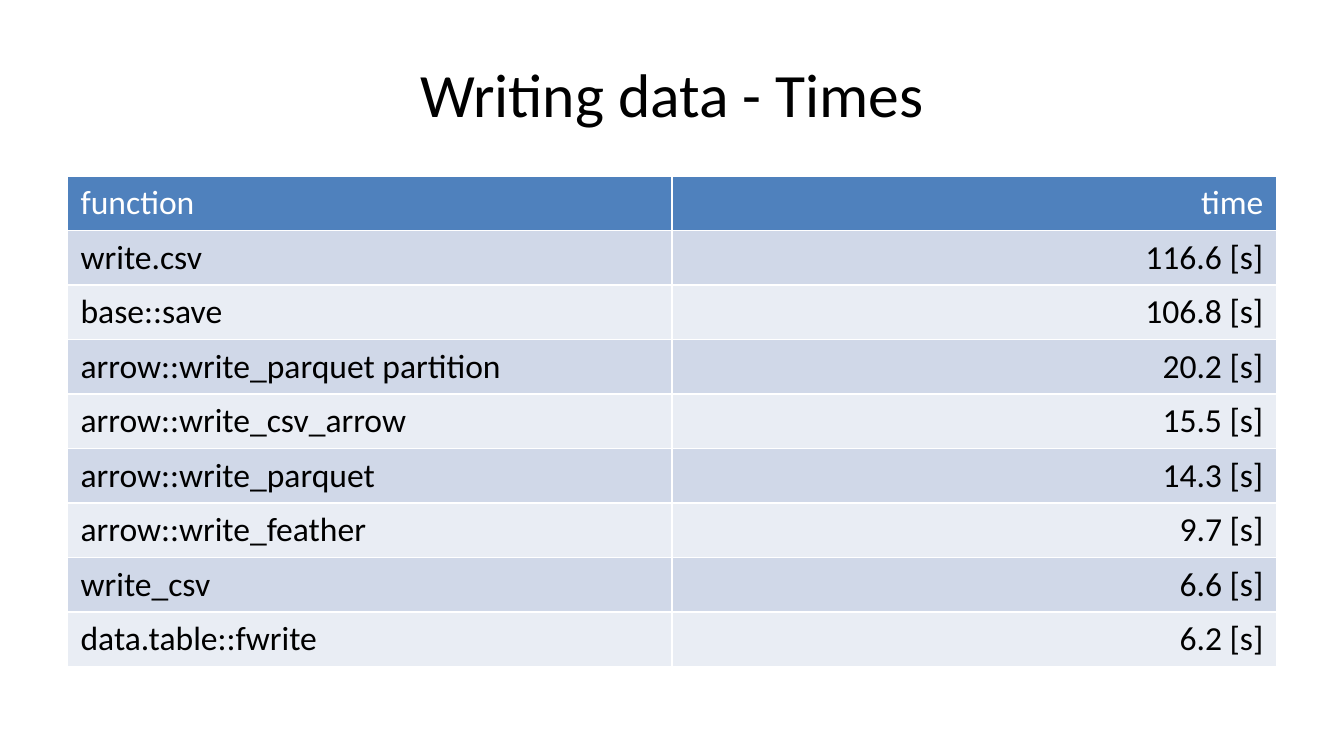
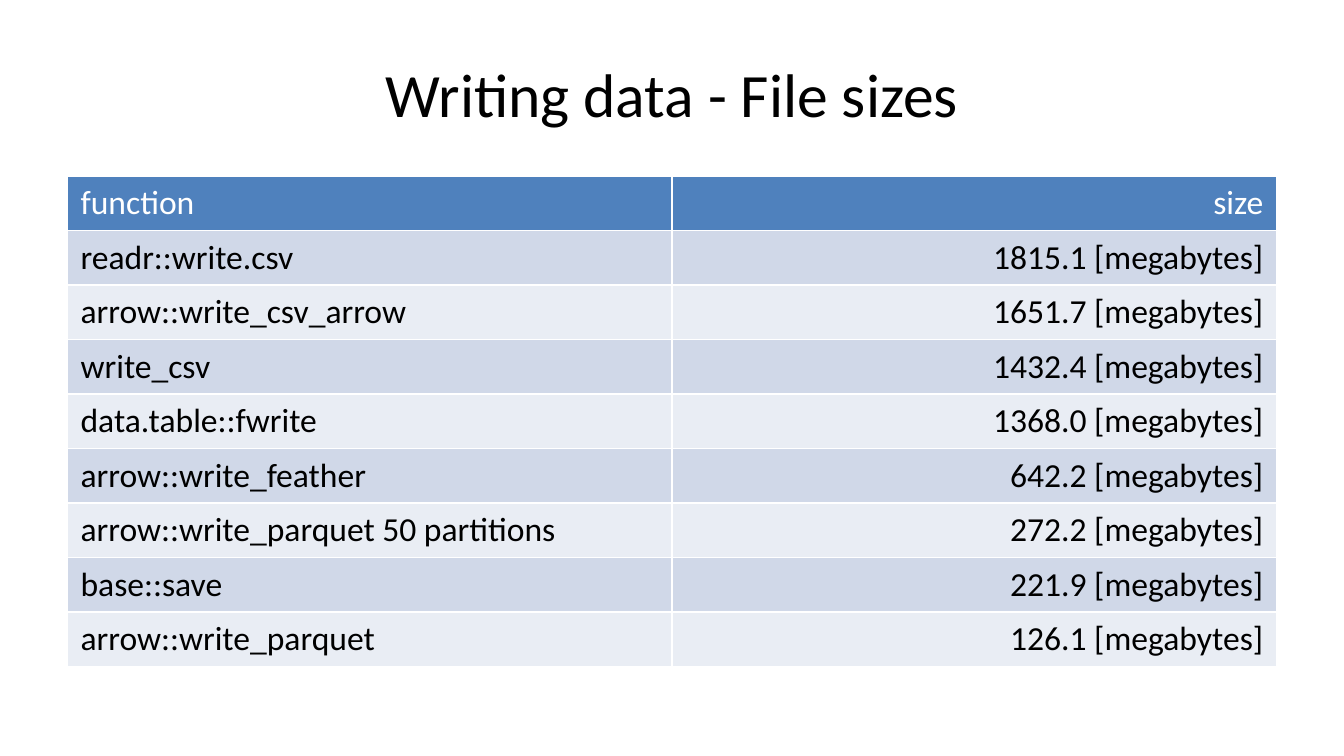
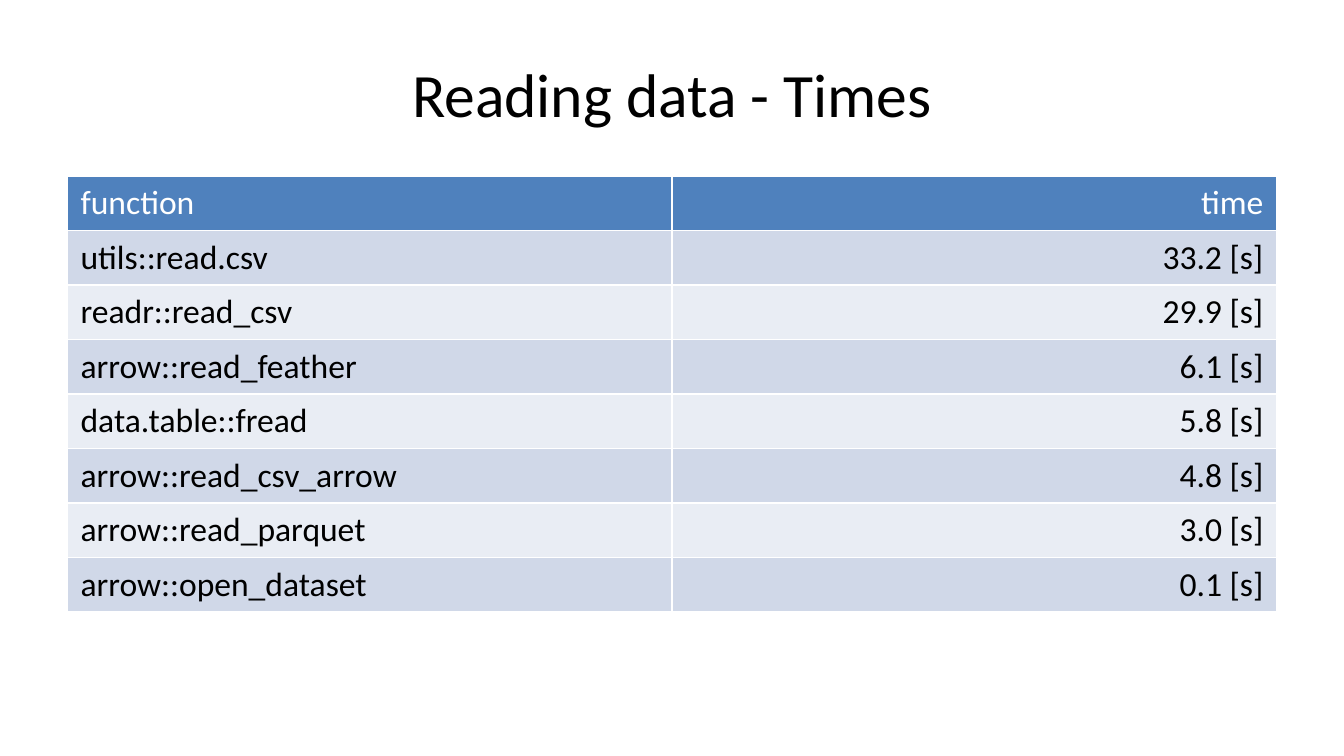
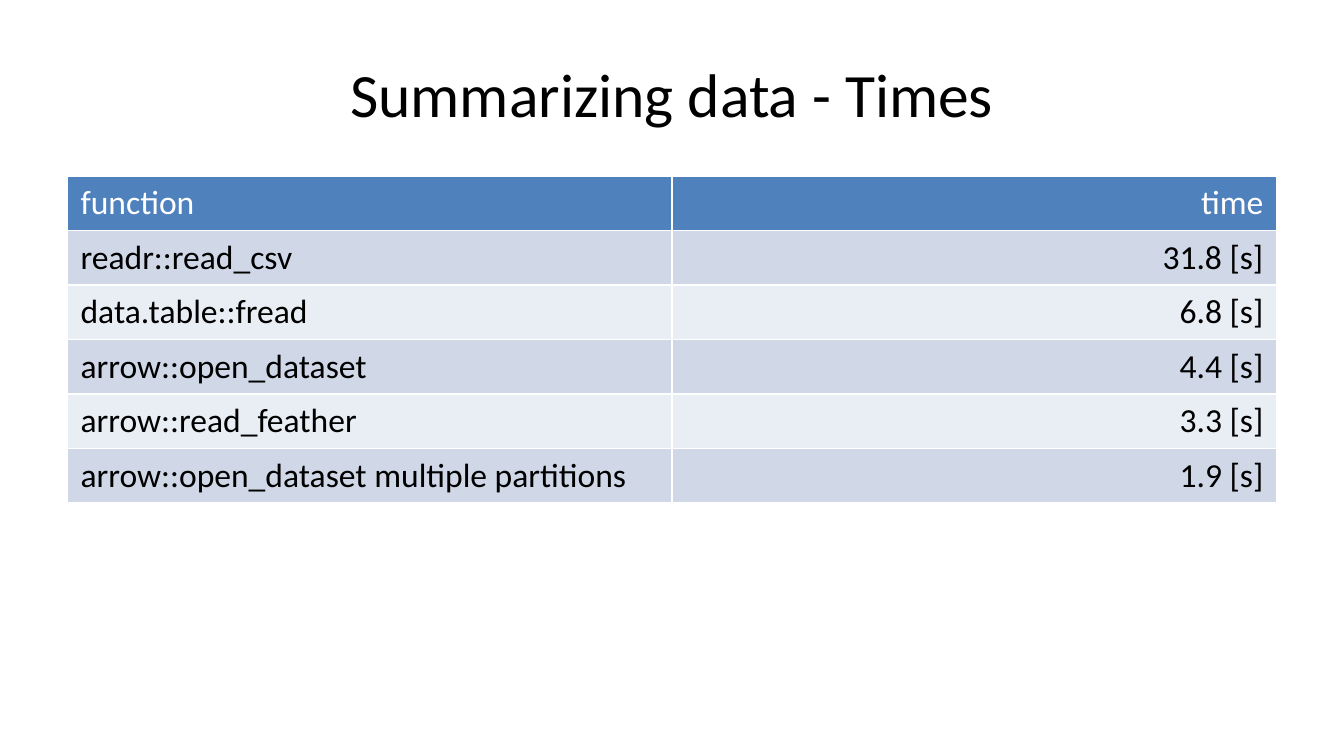
"""Benchmark slides: one title and one two-column table per slide."""
from dataclasses import dataclass
from typing import Any

from lxml import etree
from pptx import Presentation
from pptx import util as u
from pptx.dml.color import RGBColor
from pptx.enum import text
from pptx.oxml import ns


# Look shared by all slides
@dataclass(frozen=True)
class Theme:
    font: str = "Calibri"
    title_size: u.Length = u.Pt(33)
    table_size: u.Length = u.Pt(18)
    border_width: u.Length = u.Pt(1)
    ink: str = "000000"
    paper: str = "FFFFFF"
    header: str = "4F81BD"
    bands: tuple[str, str] = ("D0D8E8", "E9EDF4")


@dataclass(frozen=True)
class Benchmark:
    title: str
    measure: str
    unit: str
    results: tuple[tuple[str, str], ...]


THEME = Theme()
TITLE_ONLY = 5
LEFT, WIDTH = u.Cm(1.27), u.Cm(22.86)
TITLE_TOP, TITLE_HEIGHT = u.Cm(0.57), u.Cm(2.38)
TABLE_TOP, ROW_HEIGHT = u.Cm(3.33), u.Cm(1.03)
ALIGNMENTS = (text.PP_ALIGN.LEFT, text.PP_ALIGN.RIGHT)

# Slide content
BENCHMARKS = (
    Benchmark("Writing data - Times", "time", "s", (
        ("write.csv", "116.6"),
        ("base::save", "106.8"),
        ("arrow::write_parquet partition", "20.2"),
        ("arrow::write_csv_arrow", "15.5"),
        ("arrow::write_parquet", "14.3"),
        ("arrow::write_feather", "9.7"),
        ("write_csv", "6.6"),
        ("data.table::fwrite", "6.2"),
    )),
    Benchmark("Writing data - File sizes", "size", "megabytes", (
        ("readr::write.csv", "1815.1"),
        ("arrow::write_csv_arrow", "1651.7"),
        ("write_csv", "1432.4"),
        ("data.table::fwrite", "1368.0"),
        ("arrow::write_feather", "642.2"),
        ("arrow::write_parquet 50 partitions", "272.2"),
        ("base::save", "221.9"),
        ("arrow::write_parquet", "126.1"),
    )),
    Benchmark("Reading data - Times", "time", "s", (
        ("utils::read.csv", "33.2"),
        ("readr::read_csv", "29.9"),
        ("arrow::read_feather", "6.1"),
        ("data.table::fread", "5.8"),
        ("arrow::read_csv_arrow", "4.8"),
        ("arrow::read_parquet", "3.0"),
        ("arrow::open_dataset", "0.1"),
    )),
    Benchmark("Summarizing data - Times", "time", "s", (
        ("readr::read_csv", "31.8"),
        ("data.table::fread", "6.8"),
        ("arrow::open_dataset", "4.4"),
        ("arrow::read_feather", "3.3"),
        ("arrow::open_dataset multiple partitions", "1.9"),
    )),
)


# Drawing helpers
def set_all(target: Any, values: dict[str, Any]) -> None:
    for name, value in values.items():
        setattr(target, name, value)


def write(frame: Any, words: str, size: u.Length, color: str, alignment: Any) -> None:
    para = frame.paragraphs[0]
    para.alignment = alignment
    span = para.add_run()
    span.text = words
    set_all(span.font, {"name": THEME.font, "size": size, "bold": False})
    span.font.color.rgb = RGBColor.from_string(color)


def add_borders(cell: Any) -> None:
    """Add the four side lines; call before filling, as the schema wants lines first."""
    properties = cell._tc.get_or_add_tcPr()
    for side in ("lnL", "lnR", "lnT", "lnB"):
        line = etree.SubElement(properties, ns.qn(f"a:{side}"), w=str(THEME.border_width))
        fill = etree.SubElement(line, ns.qn("a:solidFill"))
        etree.SubElement(fill, ns.qn("a:srgbClr"), val=THEME.paper)


def add_title(page: Any, words: str) -> None:
    box = page.shapes.title
    set_all(box, {"left": LEFT, "top": TITLE_TOP, "width": WIDTH, "height": TITLE_HEIGHT})
    set_all(box.text_frame, {"word_wrap": True, "vertical_anchor": text.MSO_ANCHOR.MIDDLE})
    write(box.text_frame, words, THEME.title_size, THEME.ink, text.PP_ALIGN.CENTER)


def add_results(page: Any, benchmark: Benchmark) -> None:
    rows = [("function", benchmark.measure)]
    rows += [(name, f"{value} [{benchmark.unit}]") for name, value in benchmark.results]
    table = page.shapes.add_table(
        len(rows), 2, LEFT, TABLE_TOP, WIDTH, ROW_HEIGHT * len(rows)).table
    for index, row in enumerate(rows):
        is_header = index == 0
        fill = THEME.header if is_header else THEME.bands[(index - 1) % 2]
        color = THEME.paper if is_header else THEME.ink
        for column, (words, alignment) in enumerate(zip(row, ALIGNMENTS)):
            cell = table.cell(index, column)
            add_borders(cell)
            cell.fill.solid()
            cell.fill.fore_color.rgb = RGBColor.from_string(fill)
            write(cell.text_frame, words, THEME.table_size, color, alignment)


# Build the deck
deck = Presentation()
set_all(deck, {"slide_width": u.Cm(25.4), "slide_height": u.Cm(14.29)})
for benchmark in BENCHMARKS:
    page = deck.slides.add_slide(deck.slide_layouts[TITLE_ONLY])
    add_title(page, benchmark.title)
    add_results(page, benchmark)
deck.save("out.pptx")
